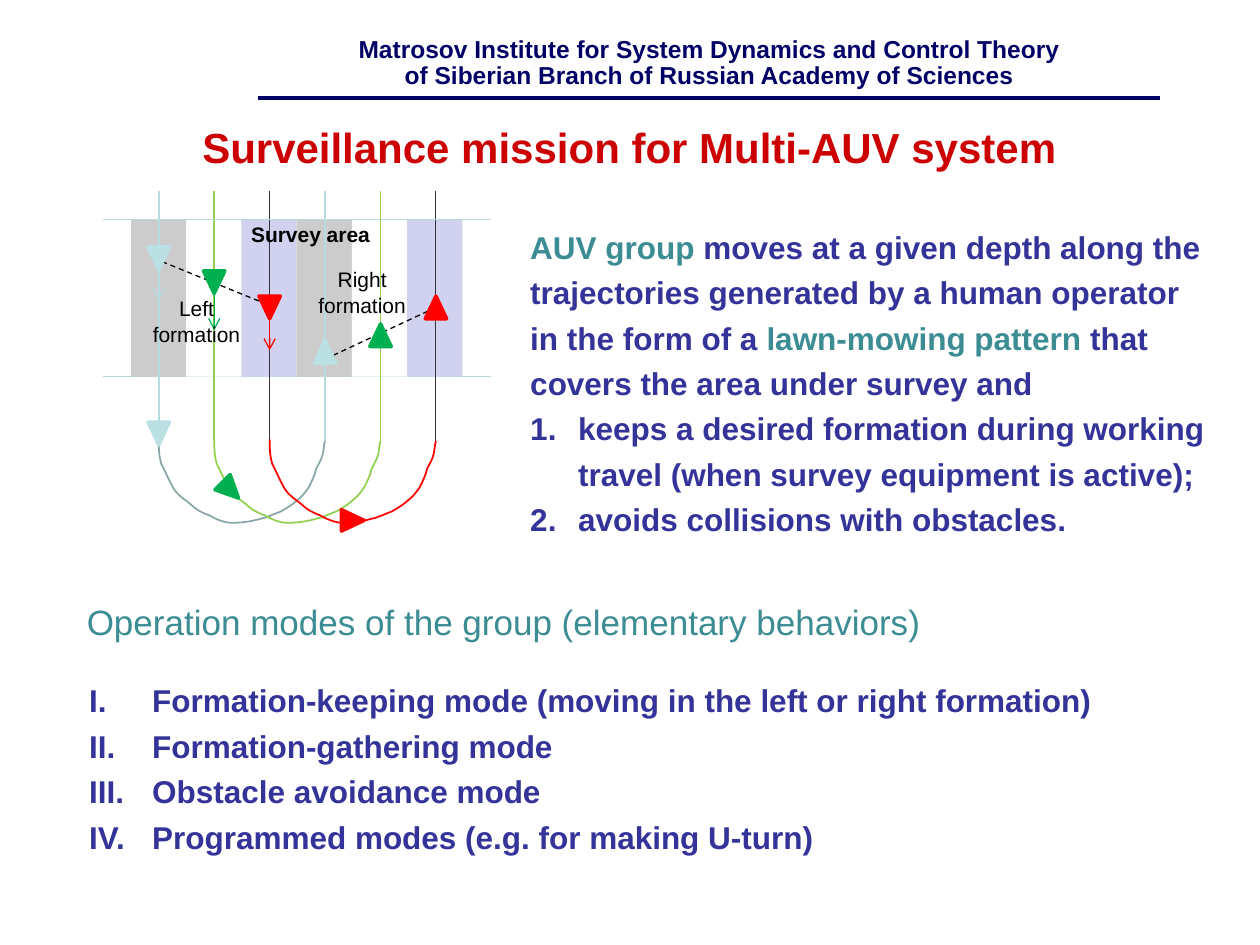
from dataclasses import dataclass
from typing import NamedTuple, Optional

from lxml.etree import SubElement
from pptx import Presentation
from pptx.dml.color import RGBColor
from pptx.enum.dml import MSO_LINE
from pptx.enum.shapes import MSO_CONNECTOR, MSO_SHAPE
from pptx.enum.text import MSO_ANCHOR, PP_ALIGN
from pptx.oxml.ns import qn
from pptx.util import Inches, Pt


@dataclass(frozen=True)
class Theme:
    font: str = "Arial"
    navy: str = "000066"
    title: str = "CC0000"
    body: str = "333399"
    accent: str = "3C8C93"
    black: str = "000000"
    dark: str = "333333"
    white: str = "FFFFFF"
    gray: str = "CCCCCC"
    lilac: str = "D1D1F0"
    frame: str = "B6DCDF"
    aqua: str = "BBE0E3"
    slate: str = "8AA6A8"
    lime: str = "92D050"
    green: str = "00B050"
    red: str = "FF0000"
    header_pt: float = 14
    title_pt: float = 24
    heading_pt: float = 20
    body_pt: float = 18
    label_pt: float = 12


class Span(NamedTuple):
    text: str
    color: str
    size: float
    bold: bool = False


@dataclass(frozen=True)
class Para:
    spans: list[Span]
    align: PP_ALIGN = PP_ALIGN.LEFT
    spacing: Optional[float] = None
    numbering: Optional[str] = None
    indent: float = 0


class Marker(NamedTuple):
    x: float
    y: float
    color: str
    rotation: float = 0


class Segment(NamedTuple):
    x1: float
    y1: float
    x2: float
    y2: float
    color: str
    width: float = 0.75
    dashed: bool = False
    arrow: bool = False


T = Theme()
AREA_LEFT, AREA_TOP, AREA_RIGHT, AREA_BOTTOM = 1.04, 1.74, 3.67, 2.99
LANE_TOP, LANE_BOTTOM = 1.52, 3.5
LANES = [1.26 + 0.44 * i for i in range(6)]
STRIP = (AREA_RIGHT - AREA_LEFT) / len(LANES)
TURN_START = (0, 3.49)
TURN_CURVES = [
    [(0, 3.55), (0, 3.61), (0.02, 3.68)], [(0.05, 3.74), (0.09, 3.83), (0.12, 3.88)],
    [(0.16, 3.94), (0.2, 3.96), (0.25, 4)], [(0.29, 4.04), (0.34, 4.07), (0.4, 4.09)],
    [(0.45, 4.12), (0.52, 4.15), (0.58, 4.15)], [(0.65, 4.15), (0.73, 4.14), (0.8, 4.12)],
    [(0.86, 4.11), (0.91, 4.08), (0.97, 4.06)], [(1.02, 4.03), (1.07, 4), (1.1, 3.97)],
    [(1.14, 3.94), (1.16, 3.91), (1.19, 3.87)], [(1.21, 3.83), (1.24, 3.77), (1.25, 3.72)],
    [(1.27, 3.68), (1.29, 3.65), (1.3, 3.61)], [(1.31, 3.58), (1.31, 3.52), (1.32, 3.5)]]


def rgb(color: str) -> RGBColor:
    return RGBColor.from_string(color)


def add_text(s, left: float, top: float, width: float, height: float,
             paras: list[Para], anchor=MSO_ANCHOR.TOP, bottom: float = 0.05) -> None:
    sp = s.shapes.add_textbox(Inches(left), Inches(top), Inches(width), Inches(height))
    tf = sp.text_frame
    tf.word_wrap = True
    tf.vertical_anchor = anchor
    tf.margin_bottom = Inches(bottom)
    for i, para in enumerate(paras):
        p = tf.add_paragraph() if i else tf.paragraphs[0]
        p.alignment = para.align
        if para.spacing:
            p.line_spacing = para.spacing
        if para.numbering:
            pPr = p._p.get_or_add_pPr()
            pPr.set("marL", str(Inches(para.indent)))
            pPr.set("indent", str(-Inches(para.indent)))
            SubElement(pPr, qn("a:buFont"), typeface=T.font)
            SubElement(pPr, qn("a:buAutoNum"), type=para.numbering)
        for span in para.spans:
            r = p.add_run()
            r.text = span.text
            r.font.name = T.font
            r.font.size = Pt(span.size)
            r.font.bold = span.bold
            r.font.color.rgb = rgb(span.color)


def add_segment(s, seg: Segment) -> None:
    sp = s.shapes.add_connector(MSO_CONNECTOR.STRAIGHT, Inches(seg.x1), Inches(seg.y1),
                                Inches(seg.x2), Inches(seg.y2))
    sp.line.color.rgb = rgb(seg.color)
    sp.line.width = Pt(seg.width)
    if seg.dashed:
        sp.line.dash_style = MSO_LINE.DASH
    if seg.arrow:
        SubElement(sp.line._get_or_add_ln(), qn("a:tailEnd"), type="arrow")
    SubElement(sp._element.spPr, qn("a:effectLst"))


def add_strip(s, left: float, color: str) -> None:
    sp = s.shapes.add_shape(MSO_SHAPE.RECTANGLE, Inches(left), Inches(AREA_TOP),
                            Inches(STRIP), Inches(AREA_BOTTOM - AREA_TOP))
    sp.shadow.inherit = False
    sp.fill.solid()
    sp.fill.fore_color.rgb = rgb(color)
    sp.line.fill.background()


def add_marker(s, m: Marker) -> None:
    w, h = 0.17, 0.18
    sp = s.shapes.add_shape(MSO_SHAPE.FLOWCHART_MERGE, Inches(m.x - w / 2),
                            Inches(m.y - h / 2), Inches(w), Inches(h))
    sp.rotation = m.rotation
    sp.shadow.inherit = False
    sp.fill.solid()
    sp.fill.fore_color.rgb = rgb(m.color)
    sp.line.color.rgb = rgb(m.color)
    sp.line.width = Pt(2)


def add_turn(s, left: float, color: str) -> None:
    start, *rest = [(Inches(left + x), Inches(y))
                    for x, y in [TURN_START, *sum(TURN_CURVES, [])]]
    builder = s.shapes.build_freeform(*start)
    builder.add_line_segments(rest, close=False)
    sp = builder.convert_to_shape()
    outline = next(sp._element.iter(qn("a:path")))
    lines = outline.findall(qn("a:lnTo"))
    for i in range(0, len(lines), 3):
        curve = SubElement(outline, qn("a:cubicBezTo"))
        for line in lines[i:i + 3]:
            curve.append(line[0])
            outline.remove(line)
    sp.shadow.inherit = False
    sp.fill.background()
    sp.line.color.rgb = rgb(color)
    sp.line.width = Pt(1)


def add_diagram(s) -> None:
    add_segment(s, Segment(0.82, AREA_BOTTOM, 3.9, AREA_BOTTOM, T.frame))
    for i, color in enumerate((T.gray, T.white, T.lilac) * 2):
        add_strip(s, AREA_LEFT + STRIP * i, color)
    tracks = [(T.frame, 1, T.slate), (T.lime, 1, T.lime), (T.dark, 0.5, T.red)]
    for down, up, (color, width, turn_color) in zip(LANES, LANES[3:], tracks):
        add_segment(s, Segment(down, LANE_TOP, down, LANE_BOTTOM, color, width))
        add_turn(s, down, turn_color)
        add_segment(s, Segment(up, LANE_TOP, up, LANE_BOTTOM, color, width))
    colors = [T.aqua, T.green, T.red]
    add_segment(s, Segment(1.22, 2.05, 2.18, 2.44, T.black, dashed=True))
    for x, y, color in zip(LANES, (2.05, 2.24, 2.44), colors):
        add_marker(s, Marker(x, y, color))
    add_segment(s, Segment(2.58, 2.85, 3.46, 2.44, T.black, dashed=True))
    add_segment(s, Segment(0.82, AREA_TOP, 3.9, AREA_TOP, T.frame))
    for x, y, color in zip(LANES[::-1], (2.44, 2.66, 2.79), colors[::-1]):
        add_marker(s, Marker(x, y, color, 180))
    for x, y, color in zip(LANES, (2.1, 2.34, 2.5), (T.frame, T.green, T.red)):
        add_segment(s, Segment(x, y, x, y + 0.28, color, arrow=True))
    for m in (Marker(1.26, 3.44, T.aqua), Marker(1.83, 3.89, T.green, 315),
              Marker(2.8, 4.13, T.red, 270)):
        add_marker(s, m)
    labels = [(1.84, 1.71, 1.25, 0.3, ["Survey area"], True),
              (2.36, 2.07, 1.03, 0.5, ["Right formation"], False),
              (1.07, 2.3, 0.98, 0.5, ["Left", "formation"], False)]
    for *box, lines, bold in labels:
        add_text(s, *box, [Para([Span(line, T.black, T.label_pt, bold)], PP_ALIGN.CENTER)
                           for line in lines])


def body(text: str, color: str = T.body) -> Span:
    return Span(text, color, T.body_pt, True)


def main() -> None:
    prs = Presentation()
    prs.slide_width, prs.slide_height = Inches(10), Inches(7.5)
    s = prs.slides.add_slide(prs.slide_layouts[6])
    header = ["Matrosov Institute for System Dynamics and Control Theory",
              "of Siberian Branch of Russian Academy of Sciences"]
    add_text(s, 1.24, 0.24, 8.78, 0.48,
             [Para([Span(line, T.navy, T.header_pt, True)], PP_ALIGN.CENTER, 0.9)
              for line in header], MSO_ANCHOR.MIDDLE, 0)
    add_segment(s, Segment(2.05, 0.78, 9.21, 0.78, T.navy, 2.25))
    add_text(s, 0.27, 0.81, 9.45, 0.71,
             [Para([Span("Surveillance mission for Multi-AUV system", T.title,
                         T.title_pt, True)], PP_ALIGN.CENTER)], MSO_ANCHOR.MIDDLE)
    modes = ["Formation-keeping mode (moving in the left or right formation)",
             "Formation-gathering mode", "Obstacle avoidance mode",
             "Programmed modes (e.g. for making U-turn)"]
    add_text(s, 0.61, 5.3, 9.2, 2.04,
             [Para([body(mode)], spacing=1.2, numbering="romanUcPeriod", indent=0.5)
              for mode in modes])
    add_text(s, 0.59, 4.72, 7.72, 0.44,
             [Para([Span("Operation modes of the group (elementary behaviors)",
                         T.accent, T.heading_pt)])])
    intro = [body("AUV group ", T.accent),
             body("moves at a given depth along the trajectories generated by "
                  "a human operator in the form of a "),
             body("lawn-mowing pattern ", T.accent),
             body("that covers the area under survey and")]
    tasks = ["keeps a desired formation during working travel "
             "(when survey equipment is active);", "avoids collisions with obstacles."]
    add_text(s, 4.11, 1.7, 5.62, 2.65,
             [Para(intro, spacing=1.2)]
             + [Para([body(task)], spacing=1.2, numbering="arabicPeriod", indent=0.38)
                for task in tasks])
    add_diagram(s.shapes.add_group_shape())
    prs.save("out.pptx")


if __name__ == "__main__":
    main()
